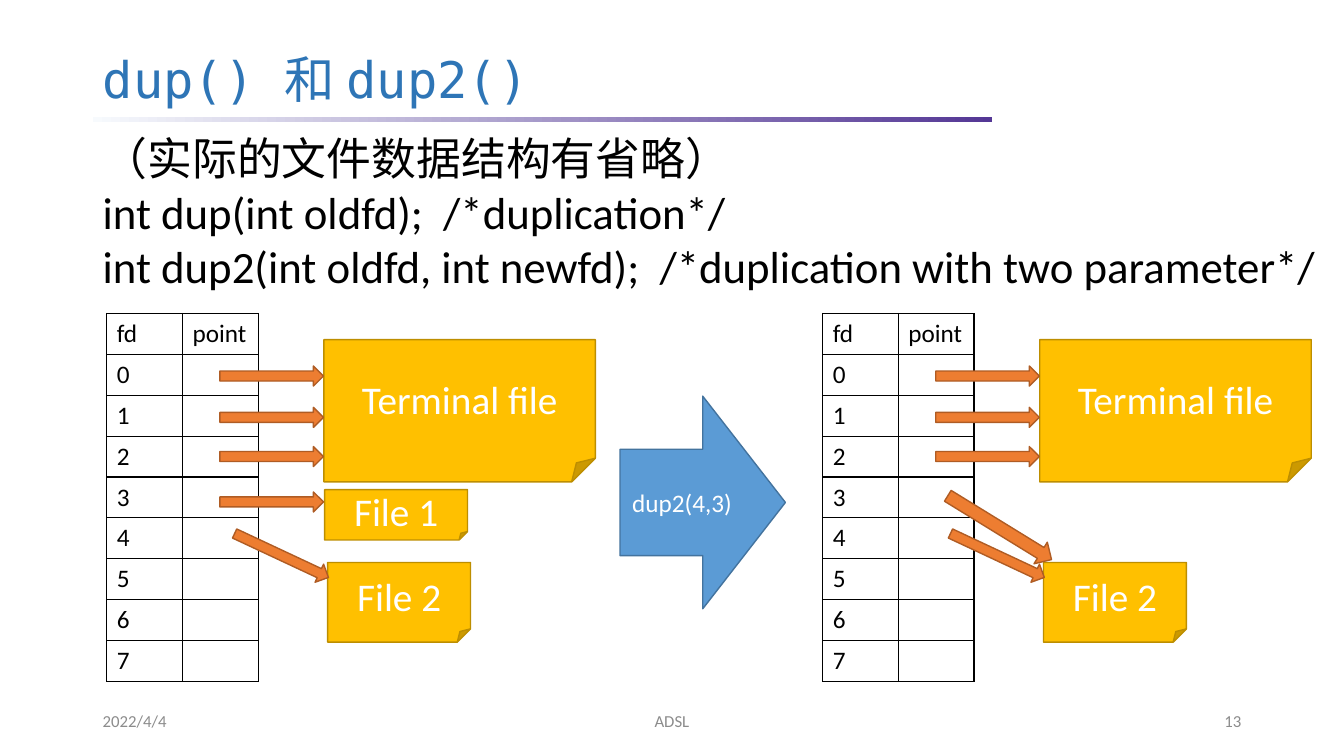
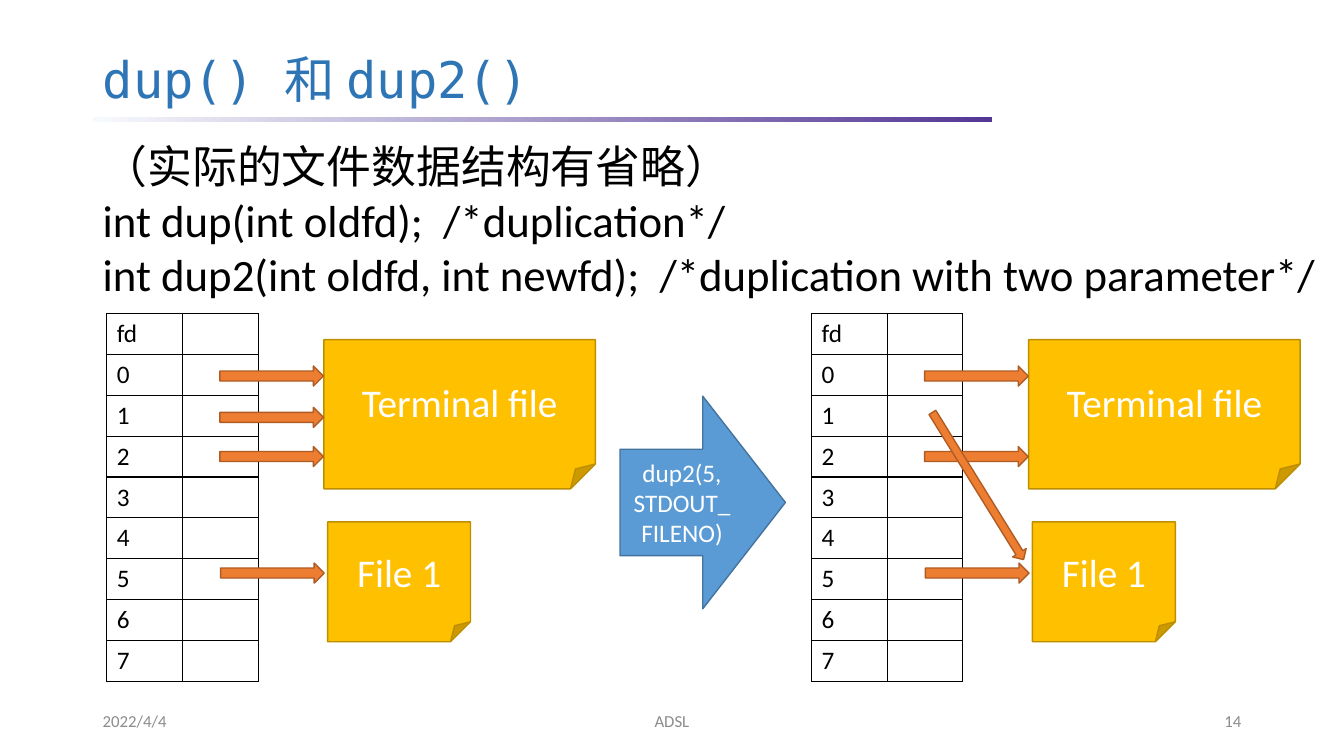
from lxml.etree import SubElement
from pptx import Presentation
from pptx.dml.color import RGBColor
from pptx.enum.shapes import MSO_SHAPE
from pptx.enum.text import MSO_ANCHOR, PP_ALIGN
from pptx.oxml.ns import qn
from pptx.util import Inches, Pt

# Colours and fonts
BLACK = RGBColor(0x00, 0x00, 0x00)
WHITE = RGBColor(0xFF, 0xFF, 0xFF)
GREY = RGBColor(0x8C, 0x8C, 0x8C)
TITLE = RGBColor(0x2E, 0x75, 0xB6)
PALE = RGBColor(0xF7, 0xFA, 0xFD)
PURPLE = RGBColor(0x54, 0x37, 0x95)
GOLD = RGBColor(0xFF, 0xC0, 0x00)
UMBER = RGBColor(0xBD, 0x8E, 0x00)
ORANGE = RGBColor(0xED, 0x7D, 0x31)
RUST = RGBColor(0xAF, 0x5C, 0x24)
BLUE = RGBColor(0x5B, 0x9B, 0xD5)
NAVY = RGBColor(0x43, 0x73, 0x9E)
SANS, MONO = "Calibri", "DejaVu Sans Mono"

# Page and table grid, in inches
WIDE, HIGH = 13.33, 7.5
EDGE = 0.92
LEFT, TOP = 1.06, 3.11
COL, ROW, ROWS = 0.75, 3.65 / 9, 9
LONG, THICK = 1.37, 0.49

# Shared content
HEAD = "dup() 和 dup2()"
INTRO = [
    "（实际的文件数据结构有省略）",
    "int dup(int oldfd);  /*duplication*/",
    "int dup2(int oldfd, int newfd);  /*duplication with two parameter*/",
]
DATE, GROUP = "2022/4/4", "ADSL"


def flat(*rows, x=2.18):
    """Level arrows centred at the given rows."""
    return [(x, row, LONG, THICK, 0) for row in rows]


# Files: name, column, row, columns wide, rows high
# Arrows: centre column, centre row, length, thickness, turn
TERM = ("Terminal file", 2.87, 0.64, 3.59, 3.48)
TALL = TERM[:4] + (3.65,)
NEAR = ("File 1", 2.88, 4.31, 1.89, 1.23)
FAR = ("File 2", 2.92, 6.09, 1.89, 1.95)
BIG = ("File 1", 2.92, 5.1, 1.89, 2.93)
SLANT = (2.31, 5.92, LONG, THICK, 25.1)
WIDER = (2.34, 5.24, 1.61, 0.62, 31.6)
STEEP = (2.2, 4.22, 2.29, 0.39, 58.2)
STDIO = flat(1.53, 2.54, 3.5)
FIFTH = flat(6.35, x=2.19)

SLIDES = [
    dict(num=13, top=1.25, label="point", call=["dup2(4,3)"], parts=[
        (LEFT, [TERM, NEAR, FAR], STDIO + flat(4.61) + [SLANT]),
        (8.16, [TERM, FAR], STDIO + [WIDER, SLANT]),
    ]),
    dict(num=14, top=1.33, label="", call=["dup2(5,", "STDOUT_FILENO)"], parts=[
        (LEFT, [TALL, BIG], STDIO + FIFTH),
        (8.05, [TALL, BIG], flat(1.53, 3.5) + [STEEP] + FIFTH),
    ]),
]


def write(frame, lines, size=18, color=WHITE, font=SANS, align=PP_ALIGN.LEFT,
          anchor=MSO_ANCHOR.MIDDLE, space=None):
    frame.word_wrap = True
    frame.vertical_anchor = anchor
    for i, line in enumerate(lines):
        para = frame.add_paragraph() if i else frame.paragraphs[0]
        para.alignment, para.line_spacing = align, space
        run = para.add_run()
        run.text = line
        run.font.size, run.font.name = Pt(size), font
        run.font.color.rgb = color


def label(slide, box, lines, **form):
    area = slide.shapes.add_textbox(*map(Inches, box))
    write(area.text_frame, lines, **form)


def block(slide, kind, box, fill, line, turn=0):
    shape = slide.shapes.add_shape(kind, *map(Inches, box))
    shape.shadow.inherit = False
    shape.fill.solid()
    shape.fill.fore_color.rgb = fill
    shape.line.color.rgb = line
    shape.line.width = Pt(1)
    shape.rotation = turn
    return shape


def border(cell):
    props = cell._tc.get_or_add_tcPr()
    for i, side in enumerate(("lnL", "lnR", "lnT", "lnB")):
        line = props.makeelement(qn("a:" + side), {"w": str(Pt(1))})
        fill = SubElement(line, qn("a:solidFill"))
        SubElement(fill, qn("a:srgbClr"), val=str(BLACK))
        props.insert(i, line)


def grid(slide, left, name):
    box = map(Inches, (left, TOP, 2 * COL, ROWS * ROW))
    table = slide.shapes.add_table(ROWS, 2, *box).table
    for col in table.columns:
        col.width = Inches(COL)
    data = [("fd", name)] + [(str(n), "") for n in range(ROWS - 1)]
    for r, pair in enumerate(data):
        table.rows[r].height = Inches(ROW)
        for c, text in enumerate(pair):
            cell = table.cell(r, c)
            cell.fill.solid()
            cell.fill.fore_color.rgb = WHITE
            border(cell)
            if text:
                write(cell.text_frame, [text], color=BLACK,
                      anchor=MSO_ANCHOR.TOP)


def frame(slide, num):
    """Title, rule and footer shared by all slides."""
    rule = block(slide, MSO_SHAPE.RECTANGLE, (EDGE, 1.16, 8.92, 0.05),
                 PURPLE, PURPLE)
    rule.line.fill.background()
    rule.fill.gradient()
    rule.fill.gradient_angle = 0
    for stop, color in zip(rule.fill.gradient_stops, (PALE, PURPLE)):
        stop.color.rgb = color
    label(slide, (EDGE, 0.47, 8.81, 0.69), [HEAD], size=36, color=TITLE,
          font=MONO, space=0.9)
    for text, x, w, align in (
        (DATE, EDGE, 3, PP_ALIGN.LEFT),
        (GROUP, (WIDE - 4.5) / 2, 4.5, PP_ALIGN.CENTER),
        (str(num), WIDE - EDGE - 3, 3, PP_ALIGN.RIGHT),
    ):
        label(slide, (x, 6.95, w, 0.4), [text], size=12, color=GREY,
              align=align)


def diagram(slide, left, files, arrows, name):
    """One descriptor table with its files and arrows."""
    grid(slide, left, name)
    for text, x, y, w, h in files:
        box = (left + x * COL, TOP + y * ROW, w * COL, h * ROW)
        note = block(slide, MSO_SHAPE.FOLDED_CORNER, box, GOLD, UMBER)
        write(note.text_frame, [text], size=28, align=PP_ALIGN.CENTER)
    for x, y, w, h, turn in arrows:
        box = (left + (x - w / 2) * COL, TOP + (y - h / 2) * ROW,
               w * COL, h * ROW)
        block(slide, MSO_SHAPE.RIGHT_ARROW, box, ORANGE, RUST, turn)


def main():
    deck = Presentation()
    deck.slide_width, deck.slide_height = Inches(WIDE), Inches(HIGH)
    for page in SLIDES:
        slide = deck.slides.add_slide(deck.slide_layouts[6])
        frame(slide, page["num"])
        label(slide, (EDGE, page["top"], 12.37, 1.72), INTRO, size=32,
              color=BLACK, anchor=MSO_ANCHOR.TOP)
        for left, files, arrows in page["parts"]:
            diagram(slide, left, files, arrows, page["label"])
        step = block(slide, MSO_SHAPE.RIGHT_ARROW, (6.15, 3.93, 1.64, 2.11),
                     BLUE, NAVY)
        write(step.text_frame, page["call"], align=PP_ALIGN.CENTER)
    deck.save("out.pptx")


if __name__ == "__main__":
    main()
